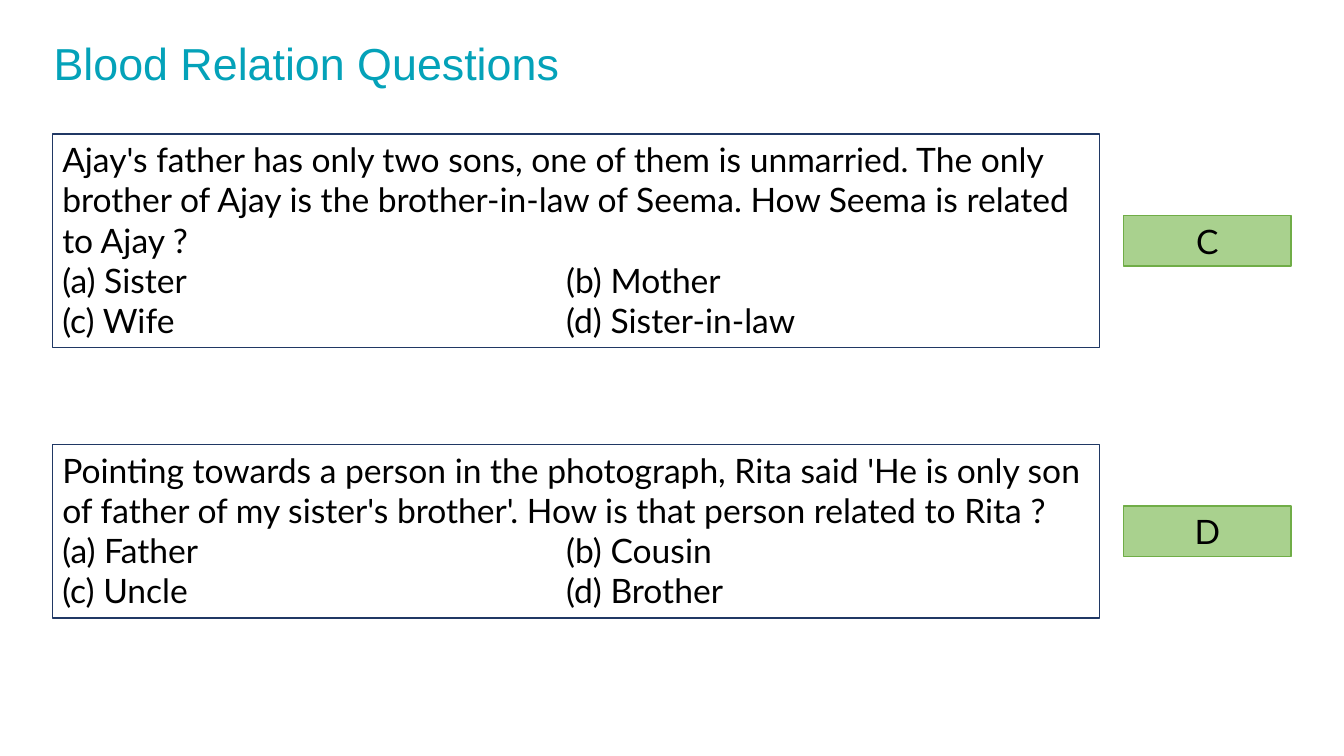
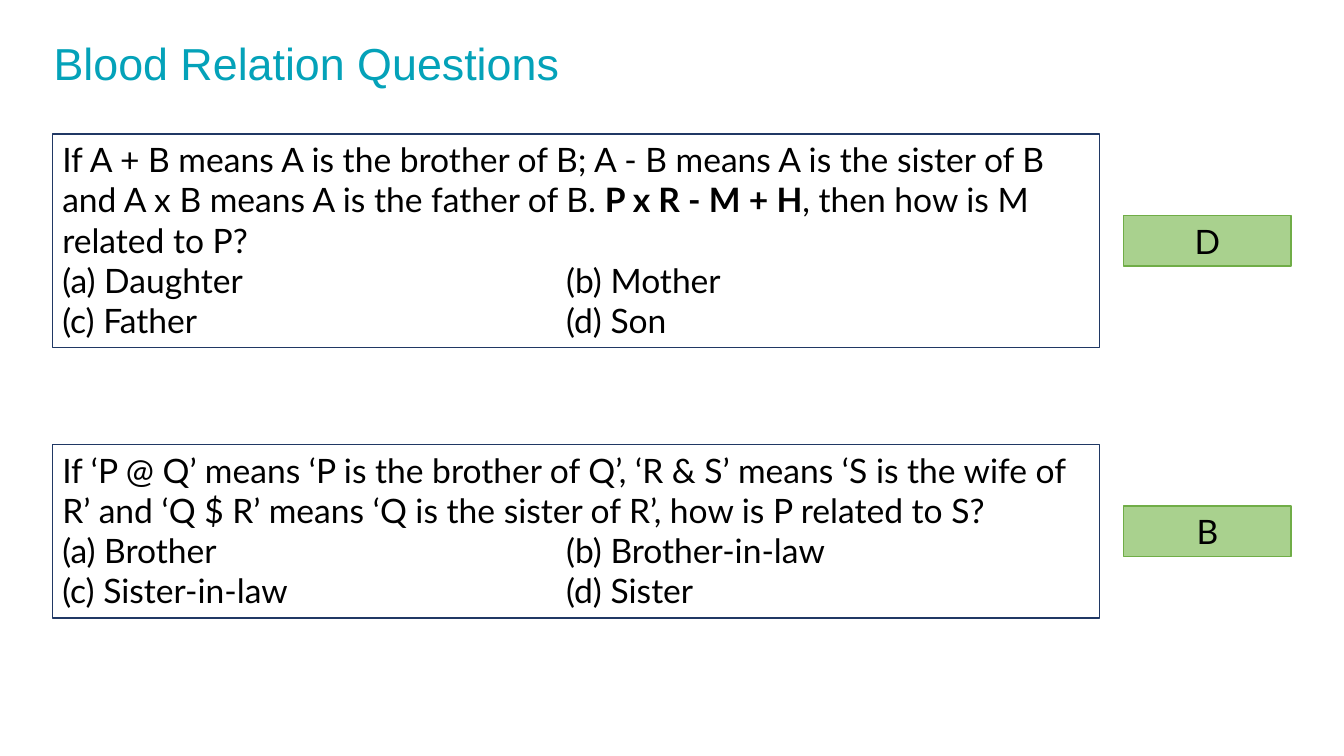
import pptx
import pptx.dml.color
import pptx.enum.shapes
import pptx.enum.text
import pptx.oxml.ns
import pptx.util
from lxml import etree

Cm = pptx.util.Cm
Pt = pptx.util.Pt
RGBColor = pptx.dml.color.RGBColor
PP_ALIGN = pptx.enum.text.PP_ALIGN
MSO_ANCHOR = pptx.enum.text.MSO_ANCHOR

TEAL = RGBColor(0x04, 0xA2, 0xB9)
NAVY = RGBColor(0x20, 0x38, 0x64)
LIGHT_GREEN = RGBColor(0xA9, 0xD1, 0x8E)
GREEN = RGBColor(0x70, 0xAD, 0x47)
WHITE = RGBColor(0xFF, 0xFF, 0xFF)
BLACK = RGBColor(0x00, 0x00, 0x00)

TITLE = "Blood Relation Questions"
LEFT = Cm(1.32)
QUESTION_WIDTH = Cm(26.39)
QUESTION_ROWS = [(Cm(3.38), Cm(5.38)), (Cm(11.2), Cm(4.37))]
ANSWER_LEFT = Cm(28.32)
ANSWER_WIDTH = Cm(4.22)
ANSWER_HEIGHT = Cm(1.27)
OPTION_TAB = Cm(12.7)

SLIDES = [
    [
        (["Ajay's father has only two sons, one of them is unmarried. The only "
          "brother of Ajay is the brother-in-law of Seema. How Seema is related to Ajay ?"],
         ["Sister", "Mother", "Wife", "Sister-in-law"], "C"),
        (["Pointing towards a person in the photograph, Rita said 'He is only son "
          "of father of my sister's brother'. How is that person related to Rita ?"],
         ["Father", "Cousin", "Uncle", "Brother"], "D"),
    ],
    [
        (["If A + B means A is the brother of B; A - B means A is the sister of B "
          "and A x B means A is the father of B. ",
          "P x R - M + H", ", then how is M related to P?"],
         ["Daughter", "Mother", "Father", "Son"], "D"),
        (["If ‘P @ Q’ means ‘P is the brother of Q’, ‘R & S’ means ‘S is the wife of R’ "
          "and ‘Q $ R’ means ‘Q is the sister of R’, how is P related to S?"],
         ["Brother", "Brother-in-law", "Sister-in-law", "Sister"], "B"),
    ],
]


def style_paragraph(paragraph, font_name, size, color, alignment=PP_ALIGN.LEFT):
    paragraph.alignment = alignment
    paragraph.font.name = font_name
    paragraph.font.size = Pt(size)
    paragraph.font.color.rgb = color


def add_title(slide):
    title = slide.shapes.title
    title.left, title.top, title.width, title.height = LEFT, Cm(0.86), Cm(14.2), Cm(1.4)
    frame = title.text_frame
    frame.margin_left = frame.margin_top = Cm(0.03)
    frame.margin_right = frame.margin_bottom = 0
    frame.vertical_anchor = MSO_ANCHOR.MIDDLE
    frame.text = TITLE
    style_paragraph(frame.paragraphs[0], "Arial", 32, TEAL)


def add_box(slide, left, top, width, height, fill_color, line_color):
    shape = slide.shapes.add_shape(
        pptx.enum.shapes.MSO_SHAPE.RECTANGLE, left, top, width, height)
    shape.shadow.inherit = False
    shape.fill.solid()
    shape.fill.fore_color.rgb = fill_color
    shape.line.color.rgb = line_color
    shape.line.width = Pt(1)
    frame = shape.text_frame
    frame.word_wrap = True
    frame.vertical_anchor = MSO_ANCHOR.TOP
    return frame


def add_tab_stop(paragraph, position):
    properties = paragraph._p.get_or_add_pPr()
    tab_list = etree.SubElement(properties, pptx.oxml.ns.qn("a:tabLst"))
    etree.SubElement(tab_list, pptx.oxml.ns.qn("a:tab"), pos=str(position), algn="l")


def add_question(slide, top, height, prompt, options):
    frame = add_box(slide, LEFT, top, QUESTION_WIDTH, height, WHITE, NAVY)
    paragraph = frame.paragraphs[0]
    for index, text in enumerate(prompt):
        run = paragraph.add_run()
        run.text = text
        if index % 2:
            run.font.bold = True
    style_paragraph(paragraph, "Lato", 24, BLACK)

    labels = [f"({letter}) {option}" for letter, option in zip("abcd", options)]
    for start in (0, 2):
        paragraph = frame.add_paragraph()
        paragraph.text = "\t".join(labels[start:start + 2])
        add_tab_stop(paragraph, OPTION_TAB)
        style_paragraph(paragraph, "Lato", 24, BLACK)


def add_answer(slide, middle, letter):
    frame = add_box(slide, ANSWER_LEFT, middle - ANSWER_HEIGHT // 2,
                    ANSWER_WIDTH, ANSWER_HEIGHT, LIGHT_GREEN, GREEN)
    frame.text = letter
    style_paragraph(frame.paragraphs[0], "Lato", 24, BLACK, PP_ALIGN.CENTER)


def main():
    presentation = pptx.Presentation()
    presentation.slide_width = Cm(33.87)
    presentation.slide_height = Cm(19.05)
    title_only = presentation.slide_layouts.get_by_name("Title Only")
    for questions in SLIDES:
        slide = presentation.slides.add_slide(title_only)
        add_title(slide)
        for (top, height), (prompt, options, answer) in zip(QUESTION_ROWS, questions):
            add_question(slide, top, height, prompt, options)
            add_answer(slide, top + height // 2, answer)
    presentation.save("out.pptx")


if __name__ == "__main__":
    main()
